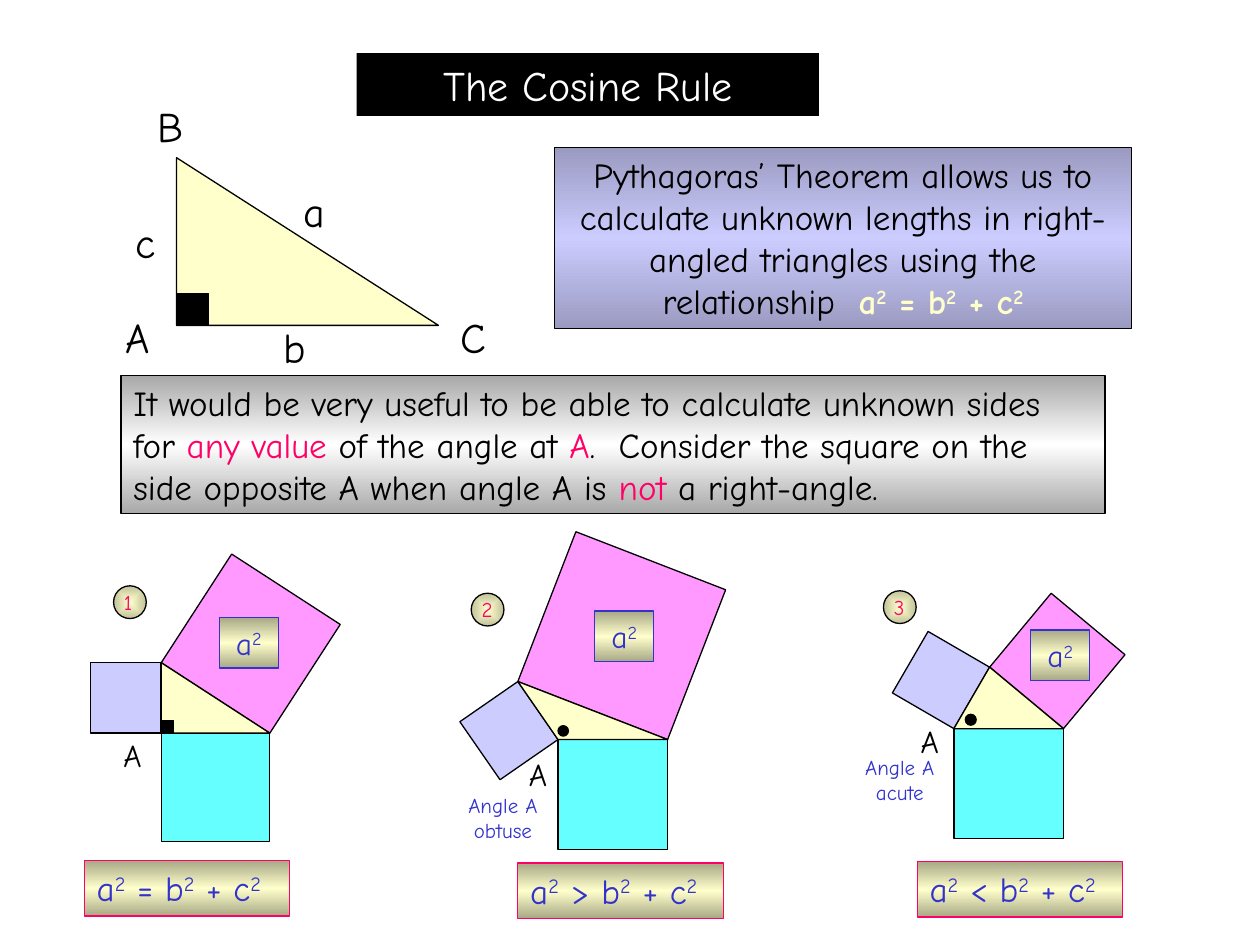
from math import atan2, degrees, hypot

from pptx import Presentation
from pptx.dml.color import RGBColor
from pptx.enum.shapes import MSO_SHAPE
from pptx.enum.text import MSO_ANCHOR, PP_ALIGN
from pptx.oxml import parse_xml
from pptx.oxml.ns import nsdecls, qn
from pptx.util import Cm, Pt

RECTANGLE = MSO_SHAPE.RECTANGLE
OVAL = MSO_SHAPE.OVAL
RIGHT_TRIANGLE = MSO_SHAPE.RIGHT_TRIANGLE
LEFT, CENTER = PP_ALIGN.LEFT, PP_ALIGN.CENTER
TOP = MSO_ANCHOR.TOP

FONT = "Comic Neue"
BLACK, WHITE = "000000", "FFFFFF"
CREAM, LILAC, PINK, CYAN = "FFFFCC", "CCCCFF", "FF99FF", "66FFFF"
RED, BLUE = "FF0066", "3333CC"

# Gradient colours, from first to last stop
CREAM_BAND = ["A8A886", CREAM, "A8A886"]
LILAC_BAND = ["9A9AC1", LILAC, "9A9AC1"]
GREY_BAND = ["A8A8A8", WHITE, "A8A8A8"]
DISC_GLOW = [CREAM, "C2C29B"]

# The angle at A decides how the squares compare; points and places in cm
CASES = [
    dict(number="1", a=(3.25, 14.78), b=(3.25, 13.36), c=(5.44, 14.78),
         right=True, marker=(3.25, 14.53, 0.25), vertex=(2.24, 14.71),
         area=(4.42, 12.45), disc=(2.29, 11.81), relation=(1.7, 17.35),
         sign="=", caption=None),
    dict(number="2", a=(11.25, 14.91), b=(10.44, 13.74), c=(13.46, 14.91),
         right=False, marker=(11.25, 14.63, 0.21), vertex=(10.41, 15.09),
         area=(11.99, 12.32), disc=(9.5, 11.96), relation=(10.44, 17.4),
         sign=">", caption=("Angle A obtuse", 8.92, 15.85)),
    dict(number="3", a=(19.23, 14.69), b=(19.95, 13.45), c=(21.44, 14.69),
         right=False, marker=(19.46, 14.4, 0.22), vertex=(18.31, 14.43),
         area=(20.78, 12.7), disc=(17.81, 11.91), relation=(18.49, 17.37),
         sign="<", caption=("Angle A acute", 16.92, 15.09)),
]


def color(hex_value):
    return RGBColor.from_string(hex_value)


def fill_gradient(shape, colors, centred):
    """Spread the colours evenly, downwards or out from the centre."""
    step = 100000 // (len(colors) - 1)
    stops = "".join(
        f'<a:gs pos="{index * step}"><a:srgbClr val="{value}"/></a:gs>'
        for index, value in enumerate(colors))
    if centred:
        direction = ('<a:path path="rect"><a:fillToRect l="50000" t="50000" '
                     'r="50000" b="50000"/></a:path>')
    else:
        direction = '<a:lin ang="5400000" scaled="1"/>'
    shape.fill.gradient()
    properties = shape._element.spPr
    properties.replace(properties.find(qn("a:gradFill")), parse_xml(
        f'<a:gradFill {nsdecls("a")} rotWithShape="1">'
        f'<a:gsLst>{stops}</a:gsLst>{direction}</a:gradFill>'))


def style_shape(shape, fill, line=BLACK, centred=False):
    shape.shadow.inherit = False
    if isinstance(fill, list):
        fill_gradient(shape, fill, centred)
    else:
        shape.fill.solid()
        shape.fill.fore_color.rgb = color(fill)
    if line:
        shape.line.color.rgb = color(line)
        shape.line.width = Pt(0.75)
    else:
        shape.line.fill.background()


def add_figure(slide, kind, left, top, width, height, fill, **style):
    shape = slide.shapes.add_shape(
        kind, Cm(left), Cm(top), Cm(width), Cm(height))
    style_shape(shape, fill, **style)
    return shape


def add_run(paragraph, text, size, text_color, bold=False, raised=False):
    run = paragraph.add_run()
    run.text = text
    run.font.name = FONT
    run.font.size = Pt(size)
    run.font.bold = bold
    run.font.color.rgb = color(text_color)
    if raised:
        run._r.get_or_add_rPr().set("baseline", "30000")


def write_text(shape, size, pieces, align=LEFT):
    """Write (text, colour[, bold]) pieces; each ² becomes a raised 2."""
    frame = shape.text_frame
    frame.word_wrap = True
    frame.vertical_anchor = TOP
    paragraph = frame.paragraphs[0]
    paragraph.alignment = align
    for text, *look in pieces:
        for index, part in enumerate(text.split("²")):
            if index:
                add_run(paragraph, "2", size, *look, raised=True)
            if part:
                add_run(paragraph, part, size, *look)


def add_label(slide, left, top, width, height, text, size,
              text_color=BLACK, align=LEFT):
    box = slide.shapes.add_textbox(Cm(left), Cm(top), Cm(width), Cm(height))
    write_text(box, size, [(text, text_color)], align)


def add_square_on(slide, start, end, fill):
    """Draw the square outside the triangle on the side start-end."""
    dx, dy = end[0] - start[0], end[1] - start[1]
    side = hypot(dx, dy)
    center_x = (start[0] + end[0] + dy) / 2
    center_y = (start[1] + end[1] - dx) / 2
    square = add_figure(slide, RECTANGLE, center_x - side / 2,
                        center_y - side / 2, side, side, fill)
    square.rotation = (degrees(atan2(dy, dx)) + 45) % 90 - 45


def add_triangle(slide, a, b, c, right):
    if right:
        add_figure(slide, RIGHT_TRIANGLE, b[0], b[1],
                   c[0] - a[0], a[1] - b[1], CREAM)
        return
    corners = [(Cm(x), Cm(y)) for x, y in (a, b, c)]
    builder = slide.shapes.build_freeform(*corners[0])
    builder.add_line_segments(corners[1:], close=True)
    style_shape(builder.convert_to_shape(), CREAM)


def add_case(slide, case):
    a, b, c = case["a"], case["b"], case["c"]
    for start, end, fill in ((a, b, LILAC), (c, a, CYAN), (b, c, PINK)):
        add_square_on(slide, start, end, fill)
    add_triangle(slide, a, b, c, case["right"])

    # Angle marker and its vertex
    left, top, size = case["marker"]
    add_figure(slide, RECTANGLE if case["right"] else OVAL,
               left, top, size, size, BLACK)
    add_label(slide, *case["vertex"], 1.27, 1.02, "A", 18)
    if case["caption"]:
        text, left, top = case["caption"]
        add_label(slide, left, top, 2.44, 1.27, text, 12, BLUE, CENTER)

    # Area of the large square and the resulting relation
    area = add_figure(slide, RECTANGLE, *case["area"], 1.19, 1.02,
                      CREAM_BAND, line=BLUE)
    write_text(area, 18, [("a²", BLUE)], CENTER)
    relation = add_figure(slide, RECTANGLE, *case["relation"], 4.14, 1.12,
                          CREAM_BAND, line=RED)
    write_text(relation, 20, [(f"a² {case['sign']} b² + c²", BLUE)])

    # Numbered disc
    left, top = case["disc"]
    add_figure(slide, OVAL, left, top, 0.66, 0.66, DISC_GLOW, centred=True)
    add_label(slide, left - 0.04, top - 0.05, 0.86, 0.76,
              case["number"], 12, RED)


def add_labelled_triangle(slide):
    add_figure(slide, RIGHT_TRIANGLE, 3.56, 3.18, 5.28, 3.38, CREAM)
    add_figure(slide, RECTANGLE, 3.56, 5.92, 0.64, 0.64, BLACK)
    for text, left, top in (("A", 2.29, 6.15), ("B", 2.92, 1.91),
                            ("C", 9.04, 6.15), ("a", 5.87, 3.61),
                            ("b", 5.46, 6.35), ("c", 2.49, 4.24)):
        add_label(slide, left, top, 1.27, 1.27, text, 24)


def main():
    presentation = Presentation()
    presentation.slide_width, presentation.slide_height = Cm(25.4), Cm(19.05)
    slide = presentation.slides.add_slide(presentation.slide_layouts[6])

    # Title and right-angled triangle
    title = add_figure(slide, RECTANGLE, 7.19, 1.07, 9.32, 1.27, BLACK,
                       line=None)
    write_text(title, 24, [("The Cosine Rule", WHITE)], CENTER)
    add_labelled_triangle(slide)

    # Explanations
    theorem = add_figure(slide, RECTANGLE, 11.18, 2.97, 11.63, 3.66,
                         LILAC_BAND)
    write_text(theorem, 20, [
        ("Pythagoras’ Theorem allows us to calculate unknown lengths in "
         "right-angled triangles using the relationship  ", BLACK),
        ("a² = b² + c²", CREAM, True)], CENTER)
    question = add_figure(slide, RECTANGLE, 2.44, 7.57, 19.84, 2.79,
                          GREY_BAND)
    write_text(question, 20, [
        ("It would be very useful to be able to calculate unknown sides "
         "for ", BLACK),
        ("any value", RED), (" of the angle at ", BLACK), ("A", RED),
        (".  Consider the square on the side opposite A when angle A is ",
         BLACK),
        ("not ", RED), ("a right-angle.", BLACK)])

    # Right, obtuse and acute cases
    for case in CASES:
        add_case(slide, case)

    presentation.save("out.pptx")


if __name__ == "__main__":
    main()
